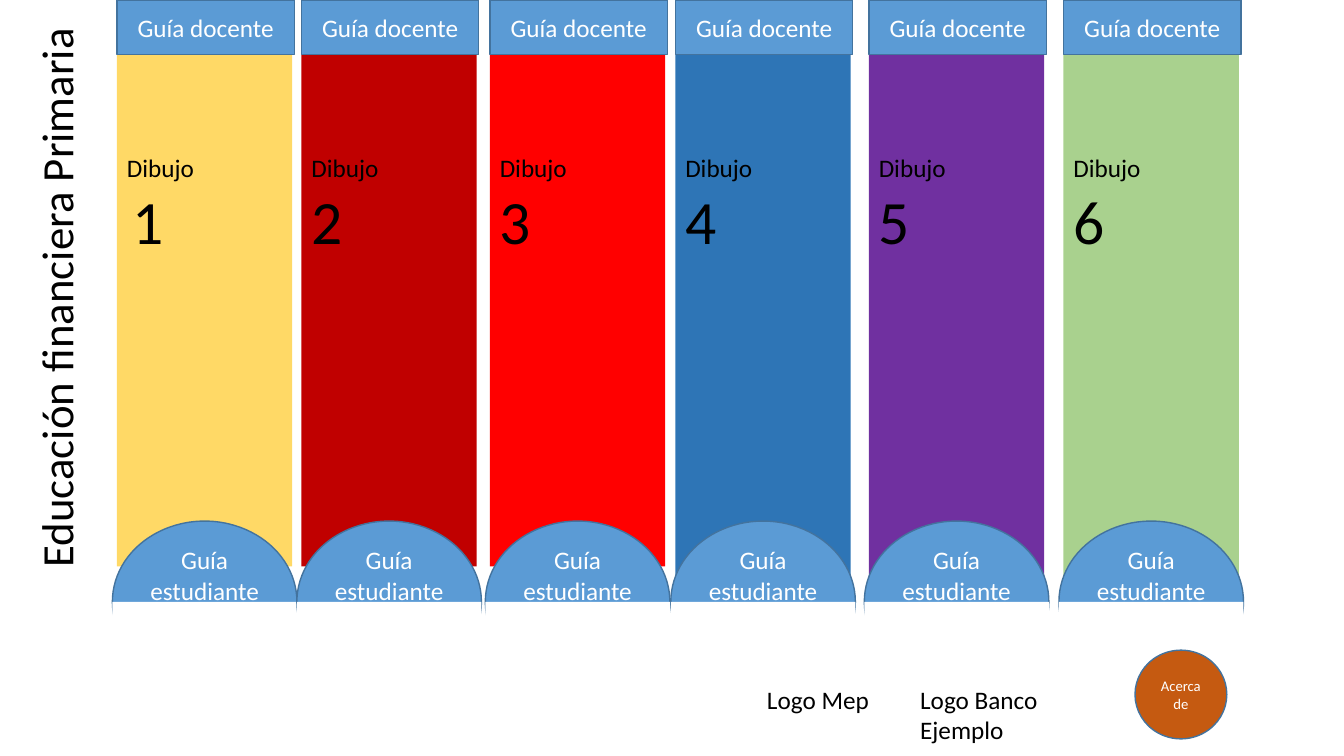
"""Build the primary-school financial education menu slide."""
import pptx
import pptx.util
import pptx.dml.color
import pptx.enum.shapes
import pptx.enum.text

SHAPE = pptx.enum.shapes.MSO_SHAPE
ALIGN = pptx.enum.text.PP_ALIGN
ANCHOR = pptx.enum.text.MSO_ANCHOR
BLUE, OUTLINE, WHITE, BLACK = "5B9BD5", "43739E", "FFFFFF", "000000"

deck = pptx.Presentation()
deck.slide_width = pptx.util.Inches(13.33)
deck.slide_height = pptx.util.Inches(7.5)
page = deck.slides.add_slide(deck.slide_layouts[5])


def share(left, top, width, height):
    """Turn percentages of the slide into lengths."""
    across, down = deck.slide_width / 100, deck.slide_height / 100
    return [round(part) for part in (left * across, top * down, width * across, height * down)]


def add_block(shapes, kind, area, fill, line=None, text="", size=18, color=WHITE, align=ALIGN.CENTER):
    """Add a filled shape with one text style."""
    box = shapes.add_shape(kind, *share(*area))
    box.shadow.inherit = False
    box.fill.solid()
    box.fill.fore_color.rgb = pptx.dml.color.RGBColor.from_string(fill)
    if line:
        box.line.color.rgb = pptx.dml.color.RGBColor.from_string(line)
        box.line.width = pptx.util.Pt(1)
    else:
        box.line.fill.background()
    box.text_frame.word_wrap = True
    box.text_frame.vertical_anchor = ANCHOR.MIDDLE
    box.text_frame.text = text
    for para in box.text_frame.paragraphs:
        para.alignment = align
        para.font.size = pptx.util.Pt(size)
        para.font.name = "Calibri"
        para.font.color.rgb = pptx.dml.color.RGBColor.from_string(color)
    return box


title = page.shapes.title
title.left, title.top, title.width, title.height = share(-20.03, 34.67, 48.83, 9.47)
title.rotation = 270
title.text_frame.text = "Educación financiera Primaria"
title.text_frame.auto_size = pptx.enum.text.MSO_AUTO_SIZE.NONE
title.text_frame.vertical_anchor = ANCHOR.MIDDLE
para = title.text_frame.paragraphs[0]
para.alignment = ALIGN.CENTER
para.line_spacing = 0.9
para.font.size = pptx.util.Pt(32)
para.font.name = "Calibri"
para.font.color.rgb = pptx.dml.color.RGBColor.from_string(BLACK)

SHORT, TALL = 67.73, 71.87
grades = [
    (8.7, SHORT, "FFD966"),
    (22.43, SHORT, "C00000"),
    (36.45, SHORT, "FF0000"),
    (50.25, TALL, "2E75B6"),
    (64.65, TALL, "7030A0"),
    (79.13, TALL, "A9D18E"),
]
for number, (left, height, color) in enumerate(grades, 1):
    band = add_block(page.shapes, SHAPE.RECTANGLE, (left, 7.2, 13.05, height), color,
                     text="Dibujo\n", color=BLACK, align=ALIGN.LEFT)
    band.text_frame.vertical_anchor = ANCHOR.TOP
    band.text_frame.margin_top = pptx.util.Inches(0.97)
    para = band.text_frame.paragraphs[1]
    if number == 1:
        para.add_run().text = " "
    span = para.add_run()
    span.text = str(number)
    span.font.size = pptx.util.Pt(44)

    dome = page.shapes.add_group_shape()
    arch = add_block(dome.shapes, SHAPE.OVAL, (left - 0.34, 68.93, 13.73, 21.33), BLUE, OUTLINE,
                     "Guía estudiante")
    arch.text_frame.vertical_anchor = ANCHOR.TOP
    arch.text_frame.margin_top = 0
    arch.text_frame.margin_left = arch.text_frame.margin_right = pptx.util.Inches(0.05)
    add_block(dome.shapes, SHAPE.RECTANGLE, (left - 0.34, 79.6, 13.73, 18.4), WHITE)

    add_block(page.shapes, SHAPE.RECTANGLE, (left, 0, 13.2, 7.2), BLUE, OUTLINE, "Guía docente")

for text, left, width in [("Logo Mep", 56.33, 9.23), ("Logo Banco Ejemplo", 67.73, 16.73)]:
    box = page.shapes.add_textbox(*share(left, 89.87, width, 5.33))
    box.text_frame.word_wrap = False
    box.text_frame.text = text
    para = box.text_frame.paragraphs[0]
    para.font.size = pptx.util.Pt(18)
    para.font.name = "Calibri"
    para.font.color.rgb = pptx.dml.color.RGBColor.from_string(BLACK)

add_block(page.shapes, SHAPE.OVAL, (84.45, 86, 6.83, 11.73), "C55A11", OUTLINE, "Acerca de", 10.5)

deck.save("out.pptx")
